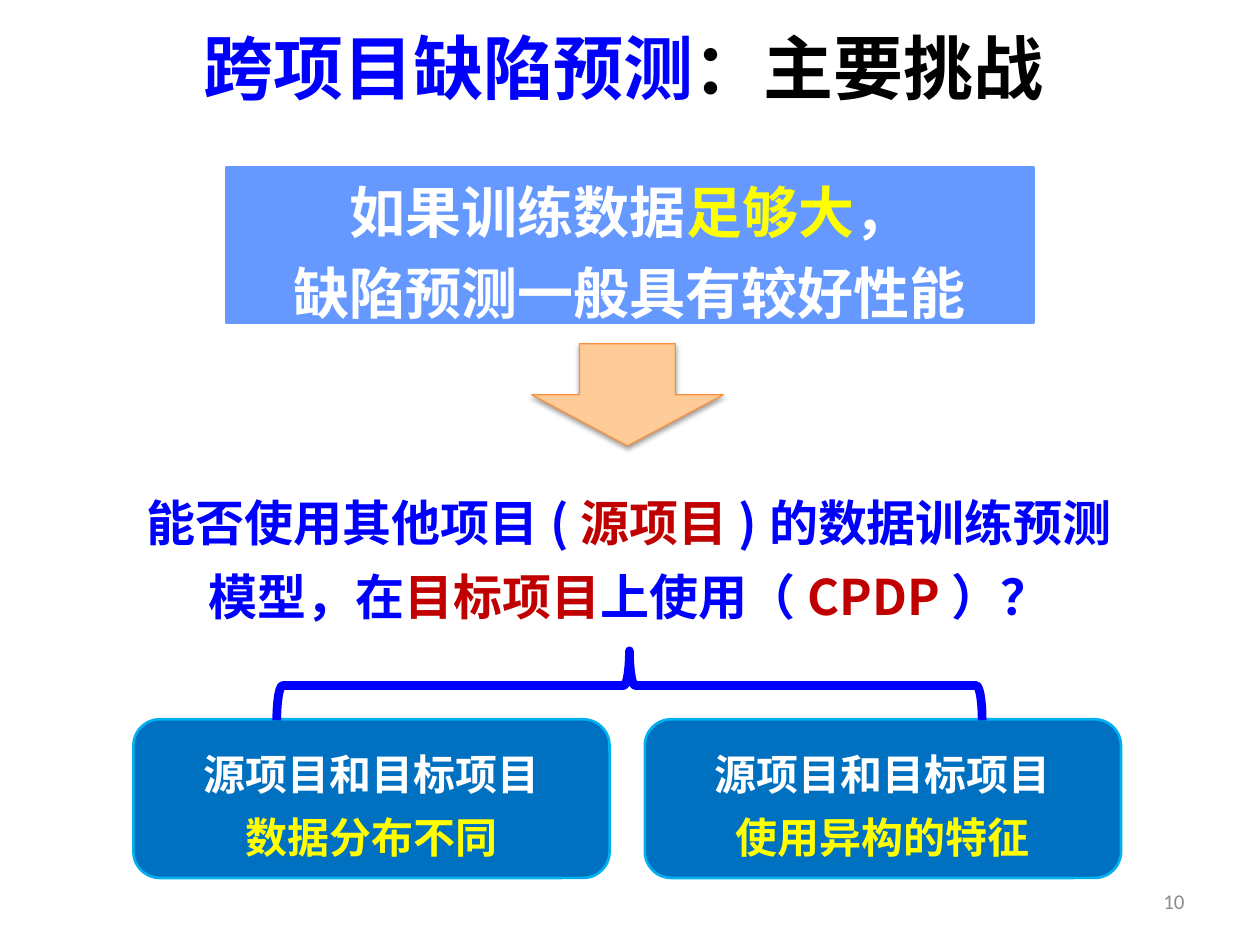
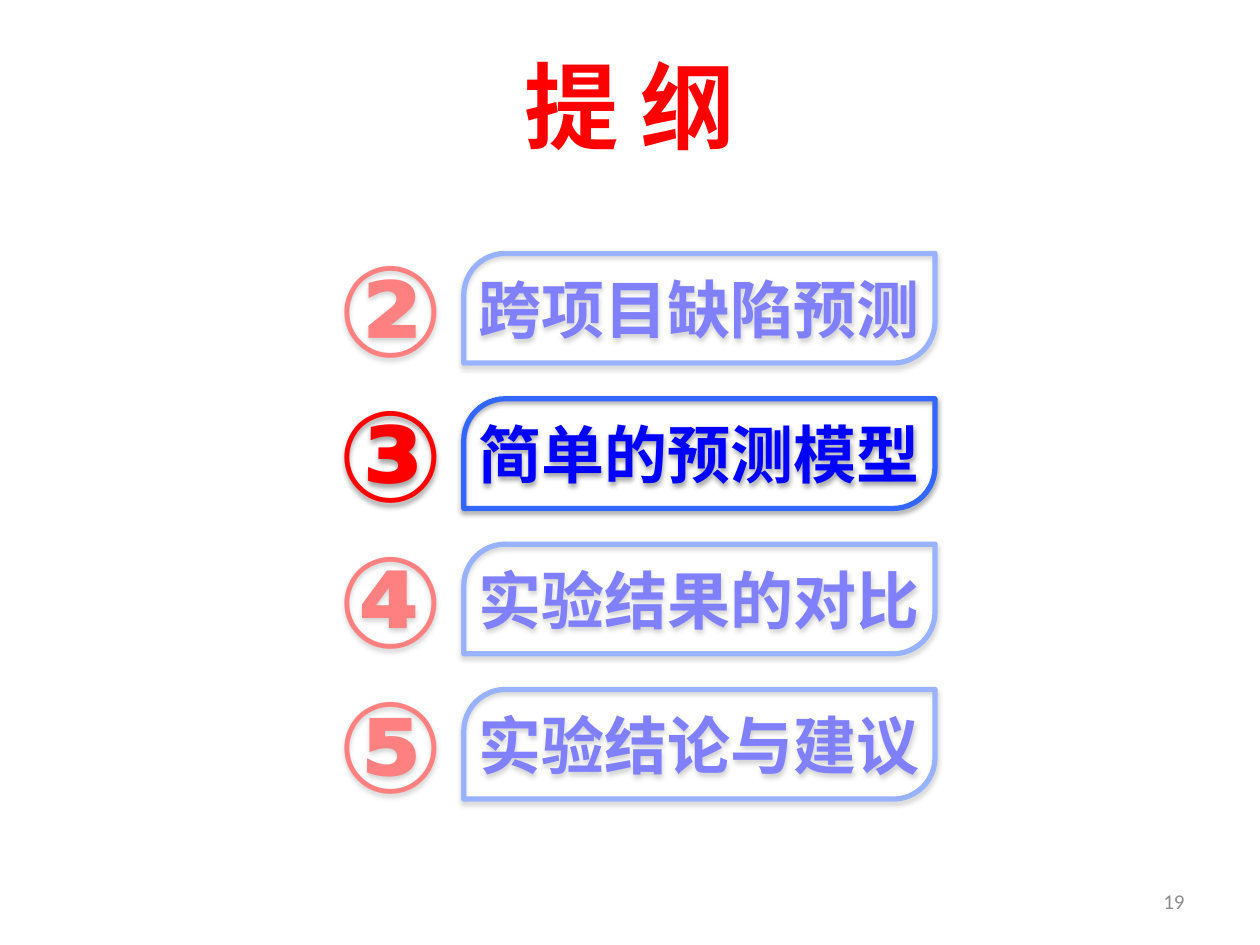
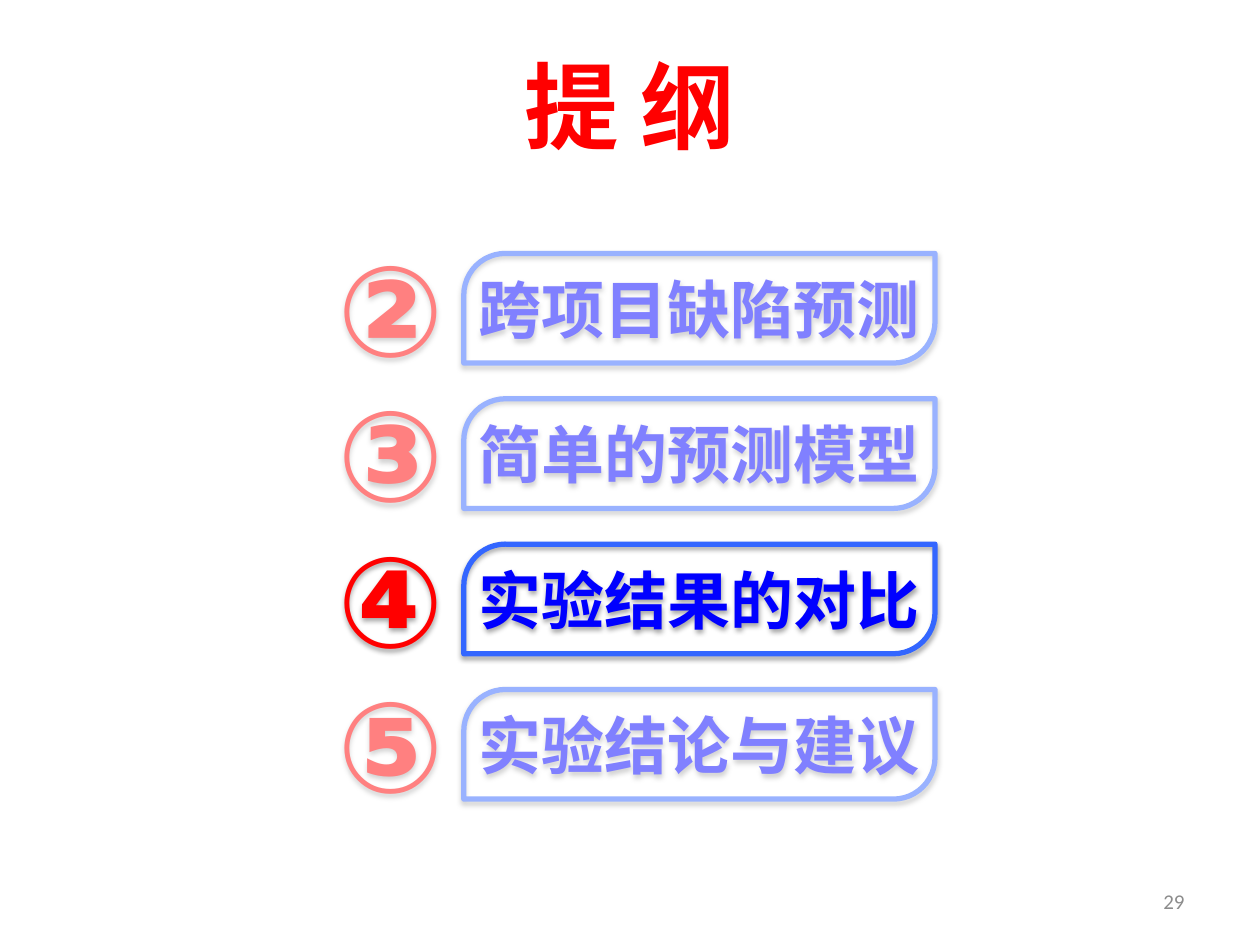
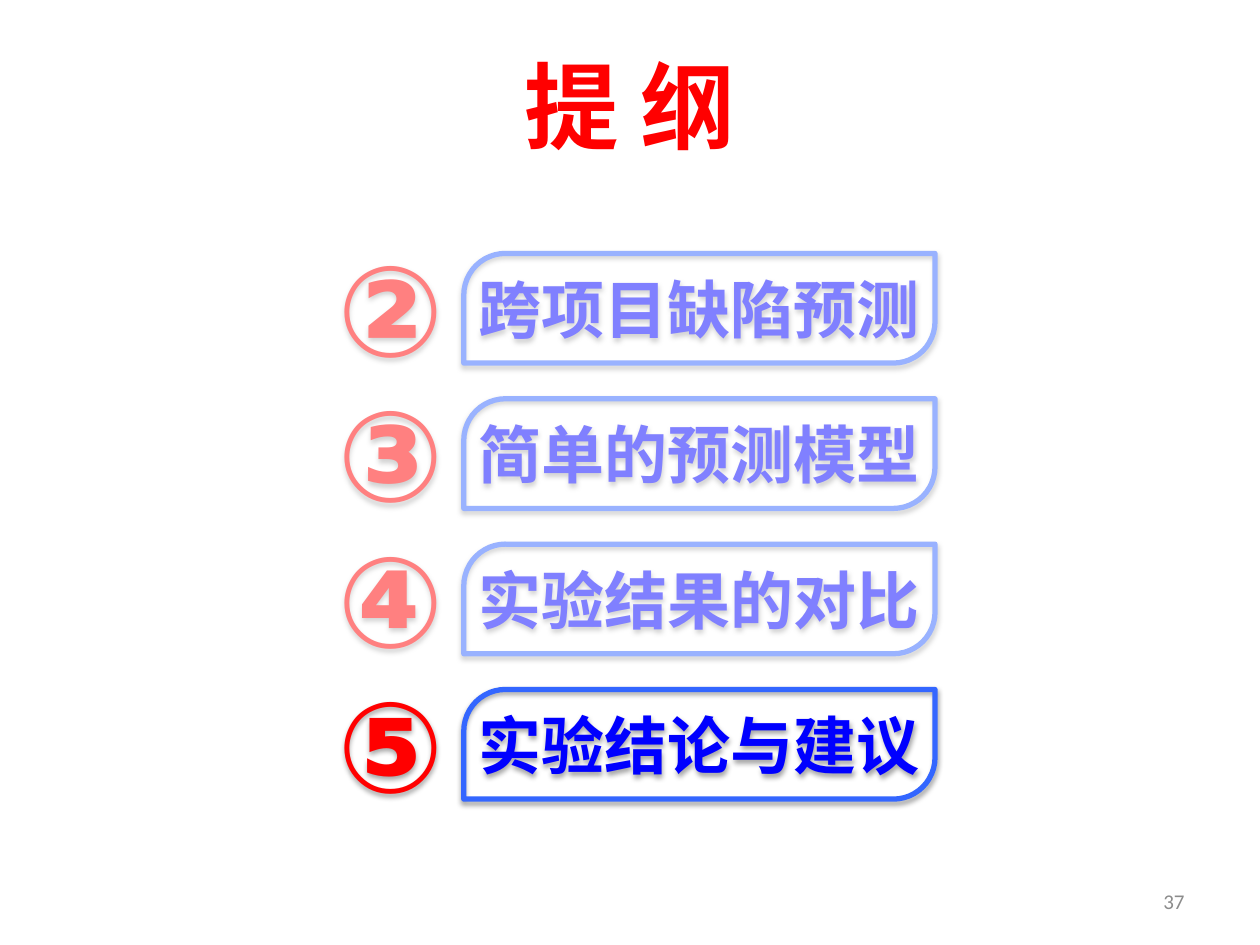
from lxml import etree
from pptx import Presentation
from pptx.dml.color import RGBColor
from pptx.enum.lang import MSO_LANGUAGE_ID
from pptx.enum.shapes import MSO_SHAPE
from pptx.enum.text import MSO_ANCHOR, MSO_AUTO_SIZE, PP_ALIGN
from pptx.oxml.ns import qn
from pptx.util import Cm, Pt

COLORS = {
    "white": "FFFFFF", "black": "000000", "grey": "8C8C8C",
    "blue": "0000FF", "red": "FF0000", "dark red": "C00000", "yellow": "FFFF00",
    "banner": "6699FF", "arrow": "FFCC99", "arrow edge": "F69240",
    "box": "0070C0", "box edge": "00B0F0", "pill edge": "3366FF",
}
SANS = "Noto Sans CJK SC"
SERIF = "Times New Roman"
TOPICS = [("②", "跨项目缺陷预测"), ("③", "简单的预测模型"),
          ("④", "实验结果的对比"), ("⑤", "实验结论与建议")]
ROW_PITCH = 2.93


class Deck:
    """Holds the shared style and the slide being built."""

    def __init__(self):
        self.presentation = Presentation()
        self.presentation.slide_width = Cm(25.4)
        self.presentation.slide_height = Cm(19.05)
        self.slide = None

    def new_slide(self, number):
        self.slide = self.presentation.slides.add_slide(self.presentation.slide_layouts[6])
        self.text_box((18.21, 17.65, 5.92, 1.02), [[(str(number), "grey")]], 12,
                      font="Calibri", bold=False, align=PP_ALIGN.RIGHT,
                      anchor=MSO_ANCHOR.MIDDLE)

    def add_text(self, shape, paragraphs, size, font=SANS, east_asian=SANS, bold=True,
                 align=PP_ALIGN.CENTER, anchor=MSO_ANCHOR.MIDDLE, spacing=None,
                 wrap=True, grow=False):
        """Each paragraph is a list of (text, color name) runs."""
        frame = shape.text_frame
        frame.word_wrap = wrap
        frame.vertical_anchor = anchor
        if grow:
            frame.auto_size = MSO_AUTO_SIZE.SHAPE_TO_FIT_TEXT
        for index, runs in enumerate(paragraphs):
            paragraph = frame.add_paragraph() if index else frame.paragraphs[0]
            paragraph.alignment = align
            if spacing:
                paragraph.line_spacing = spacing
            for text, color in runs:
                run = paragraph.add_run()
                run.text = text
                run.font.size = Pt(size)
                run.font.bold = bold
                run.font.name = font
                run.font.language_id = MSO_LANGUAGE_ID.SIMPLIFIED_CHINESE
                run.font.color.rgb = RGBColor.from_string(COLORS[color])
                latin = run.font._element.find(qn("a:latin"))
                latin.addnext(latin.makeelement(qn("a:ea"), {"typeface": east_asian}))

    def text_box(self, box, paragraphs, size, **style):
        shape = self.slide.shapes.add_textbox(*map(Cm, box))
        self.add_text(shape, paragraphs, size, **style)
        return shape

    def shape(self, kind, box, fill=None, line=None, width=1, alpha=None):
        shape = self.slide.shapes.add_shape(kind, *map(Cm, box))
        shape.shadow.inherit = False
        if fill:
            shape.fill.solid()
            shape.fill.fore_color.rgb = RGBColor.from_string(COLORS[fill])
            if alpha:
                color = shape._element.spPr.find(qn("a:solidFill"))[0]
                etree.SubElement(color, qn("a:alpha"), val=str(alpha * 1000))
        else:
            shape.fill.background()
        if line:
            shape.line.color.rgb = RGBColor.from_string(COLORS[line])
            shape.line.width = Pt(width)
        else:
            shape.line.fill.background()
        return shape

    def drop_shadow(self, shape, alpha, distance):
        shape.shadow.inherit = False
        effects = shape._element.spPr.find(qn("a:effectLst"))
        shadow = etree.SubElement(effects, qn("a:outerShdw"), blurRad=str(Pt(3.1)),
                                  dist=str(Pt(distance)), dir="5400000", rotWithShape="0")
        color = etree.SubElement(shadow, qn("a:srgbClr"), val=COLORS["black"])
        etree.SubElement(color, qn("a:alpha"), val=str(alpha * 1000))

    def topic(self, row, numeral, name):
        top = row * ROW_PITCH
        pill = self.shape(MSO_SHAPE.ROUND_2_DIAG_RECTANGLE, (9.35, 5.11 + top, 9.5, 2.21),
                          line="pill edge", width=3)
        pill.adjustments[0] = 0.38
        self.drop_shadow(pill, 35, 1.8)
        self.add_text(pill, [[(name, "blue")]], 36, wrap=False)
        label = self.text_box((6.55, 4.52 + top, 2.79, 3.33), [[(numeral, "red")]], 72,
                              font="Arial", east_asian="Arial", align=PP_ALIGN.LEFT,
                              anchor=MSO_ANCHOR.TOP, wrap=False, grow=True)
        self.drop_shadow(label, 35, 1.8)

    def veil(self, left, top, height):
        self.shape(MSO_SHAPE.RECTANGLE, (left, top, 14.38, height), fill="white", alpha=50)

    def outline(self, number, current):
        """Agenda slide on which every topic but the current one is faded."""
        self.new_slide(number)
        self.text_box((1.27, 0.84, 22.86, 3.18), [[("提 纲", "red")]], 54,
                      anchor=MSO_ANCHOR.TOP)
        for row, (numeral, name) in enumerate(TOPICS):
            self.topic(row, numeral, name)
        after = len(TOPICS) - 1 - current
        if after:
            height = 2.96 * after
            self.veil(5.72, 16.66 - height, height)
        self.veil(6.43, 4.78, 3.01 * current - 0.3)


def challenges(deck):
    deck.new_slide(10)

    # Premise and arrow
    banner = deck.shape(MSO_SHAPE.RECTANGLE, (4.57, 3.38, 16.26, 3.12),
                        fill="banner", line="banner", width=2.25)
    deck.add_text(banner, [[("如果训练数据", "white"), ("足够大", "yellow"), ("，", "white")],
                           [("缺陷预测一般具有较好性能", "white")]],
                  32, font=SERIF, spacing=1.2, wrap=False)
    arrow = deck.shape(MSO_SHAPE.DOWN_ARROW, (10.72, 6.93, 3.86, 2.06),
                       fill="arrow", line="arrow edge", width=0.75)
    deck.drop_shadow(arrow, 38, 1.6)

    # Question
    question = deck.shape(MSO_SHAPE.ROUNDED_RECTANGLE, (2.41, 9.25, 20.55, 3.73))
    deck.add_text(question, [[("能否使用其他项目(", "blue"), ("源项目", "dark red"),
                              (")的数据训练预测模型，在", "blue"), ("目标项目", "dark red"),
                              ("上使用（", "blue"), ("CPDP", "dark red"), ("）？", "blue")]],
                  28, spacing=1.25)

    # Two challenges under a brace
    for column, difference in enumerate(["数据分布不同", "使用异构的特征"]):
        box = deck.shape(MSO_SHAPE.ROUNDED_RECTANGLE, (2.69 + column * 10.31, 14.5, 9.6, 3.2),
                         fill="box", line="box edge", width=1.5)
        deck.add_text(box, [[("源项目和目标项目", "white")], [(difference, "yellow")]],
                      24, spacing=1.25)
    brace = deck.shape(MSO_SHAPE.RIGHT_BRACE, (11.99, 6.71, 1.4, 14.22), line="blue", width=5)
    brace.rotation = 270

    # Title
    deck.text_box((3.86, 0.36, 17.65, 1.96),
                  [[("跨项目缺陷预测", "blue"), ("：主要挑战", "black")]], 40, font=SERIF,
                  align=PP_ALIGN.LEFT, anchor=MSO_ANCHOR.TOP, wrap=False, grow=True)


def main():
    deck = Deck()
    challenges(deck)
    for number, current in [(19, 1), (29, 2), (37, 3)]:
        deck.outline(number, current)
    deck.presentation.save("out.pptx")


if __name__ == "__main__":
    main()
